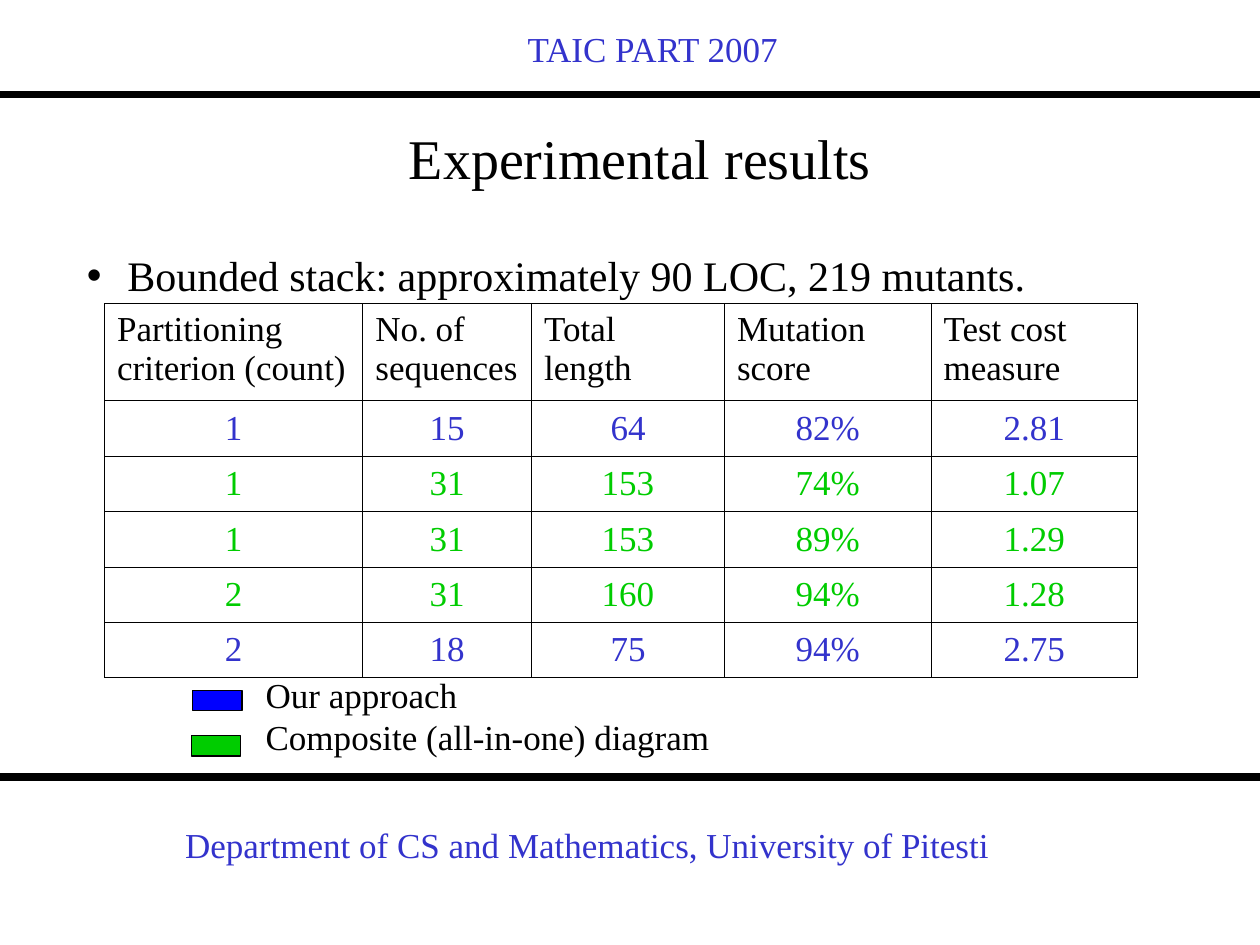
from typing import NamedTuple

from lxml import etree
from pptx import Presentation, util as u
from pptx.dml.color import RGBColor
from pptx.enum import shapes as sh, text as tx
from pptx.oxml import ns

FONT = "Times New Roman"
BLACK, BLUE, GREEN = "000000", "3333CC", "00CC00"
LEFT, MID = tx.PP_ALIGN.LEFT, tx.PP_ALIGN.CENTER
THIN, THICK = 0.45, 1.08


class Box(NamedTuple):
    left: float
    top: float
    width: float
    height: float


class Label(NamedTuple):
    box: Box
    lines: list[str]
    color: str
    align: tx.PP_ALIGN


class Row(NamedTuple):
    color: str
    cells: list[str]


class Swatch(NamedTuple):
    box: Box
    color: str


LABELS = [
    Label(Box(1.37, 6.49, 7.25, 0.77),
          ["Department of CS and Mathematics, University of Pitesti"], BLUE, LEFT),
    Label(Box(2.64, 0.17, 5.08, 0.94), ["TAIC PART 2007"], BLUE, MID),
    Label(Box(2.01, 5.3, 4.17, 0.77),
          ["Our approach", "Composite (all-in-one) diagram"], BLACK, LEFT),
]
ROWS = [
    Row(BLACK, ["Partitioning criterion (count)", "No. of sequences",
                "Total\vlength", "Mutation score", "Test cost measure"]),
    Row(BLUE, ["1", "15", "64", "82%", "2.81"]),
    Row(GREEN, ["1", "31", "153", "74%", "1.07"]),
    Row(GREEN, ["1", "31", "153", "89%", "1.29"]),
    Row(GREEN, ["2", "31", "160", "94%", "1.28"]),
    Row(BLUE, ["2", "18", "75", "94%", "2.75"]),
]
COLS = [2.05, 1.34, 1.53, 1.64, 1.64]
HEAD_H, ROW_H = 0.77, 0.44
SWATCHES = [Swatch(Box(1.53, 5.48, 0.39, 0.16), "0000FF"),
            Swatch(Box(1.52, 5.84, 0.39, 0.16), GREEN)]


def rgb(code: str) -> RGBColor:
    return RGBColor.from_string(code)


def place(box: Box) -> list[u.Length]:
    return [u.Inches(n) for n in box]


def style(para, size: float, color: str, align: tx.PP_ALIGN) -> None:
    para.alignment, para.space_before = align, u.Pt(0)
    form = {"name": FONT, "size": u.Pt(size), "bold": False}
    for key, val in form.items():
        setattr(para.font, key, val)
    para.font.color.rgb = rgb(color)


def frame(shape) -> None:
    form = {"word_wrap": True, "auto_size": tx.MSO_AUTO_SIZE.NONE,
            "vertical_anchor": tx.MSO_ANCHOR.TOP}
    for key, val in form.items():
        setattr(shape.text_frame, key, val)


def holder(shape, box: Box, words: str):
    for key, val in zip(("left", "top", "width", "height"), place(box)):
        setattr(shape, key, val)
    frame(shape)
    shape.text_frame.text = words
    return shape.text_frame.paragraphs[0]


def bullet(para, indent: float) -> None:
    props = para._p.get_or_add_pPr()
    props.set("marL", str(u.Inches(indent)))
    props.set("indent", str(-u.Inches(indent)))
    etree.SubElement(props, ns.qn("a:buChar")).set("char", "•")


def rule(slide, top: float) -> None:
    line = slide.shapes.add_connector(
        sh.MSO_CONNECTOR.STRAIGHT, 0, u.Inches(top), u.Inches(10), u.Inches(top))
    line.line.width = u.Pt(4.5)
    line.line.color.rgb = rgb(BLACK)
    etree.SubElement(line._element.spPr, ns.qn("a:effectLst"))


def label(slide, item: Label) -> None:
    shape = slide.shapes.add_textbox(*place(item.box))
    frame(shape)
    shape.text_frame.text = "\n".join(item.lines)
    for para in shape.text_frame.paragraphs:
        style(para, 20, item.color, item.align)


def border(cell, widths: dict[str, float]) -> None:
    props = cell._tc.get_or_add_tcPr()
    for spot, (side, width) in enumerate(widths.items()):
        edge = etree.Element(ns.qn(f"a:ln{side}"), w=str(u.Pt(width)))
        fill = etree.SubElement(edge, ns.qn("a:solidFill"))
        etree.SubElement(fill, ns.qn("a:srgbClr"), val=BLACK)
        props.insert(spot, edge)


def grid(slide, left: float, top: float) -> None:
    high = HEAD_H + ROW_H * (len(ROWS) - 1)
    box = Box(left, top, sum(COLS), high)
    table = slide.shapes.add_table(len(ROWS), len(COLS), *place(box)).table
    table.first_row = table.horz_banding = False
    for col, width in zip(table.columns, COLS):
        col.width = u.Inches(width)
    for i, row in enumerate(ROWS):
        table.rows[i].height = u.Inches(ROW_H if i else HEAD_H)
        for j, words in enumerate(row.cells):
            cell = table.cell(i, j)
            cell.text = words
            cell.fill.background()
            cell.vertical_anchor = tx.MSO_ANCHOR.MIDDLE if i else tx.MSO_ANCHOR.TOP
            style(cell.text_frame.paragraphs[0], 20, row.color, MID if i else LEFT)
            border(cell, {"L": THIN, "R": THIN, "T": THICK if i == 1 else THIN,
                          "B": THIN if i else THICK})


def swatch(slide, item: Swatch) -> None:
    shape = slide.shapes.add_shape(sh.MSO_SHAPE.RECTANGLE, *place(item.box))
    shape.shadow.inherit = False
    shape.fill.solid()
    shape.fill.fore_color.rgb = rgb(item.color)
    shape.line.color.rgb = rgb(BLACK)
    shape.line.width = u.Pt(0.75)


def main() -> None:
    deck = Presentation()
    deck.slide_width, deck.slide_height = u.Inches(10), u.Inches(7.5)
    slide = deck.slides.add_slide(deck.slide_layouts[1])

    # Title and bullet
    title = holder(slide.shapes.title, Box(0.59, 0.93, 8.98, 0.7),
                   "Experimental results")
    style(title, 32, BLACK, MID)
    point = holder(slide.placeholders[1], Box(0.59, 1.93, 8.98, 0.48),
                   "Bounded stack: approximately 90 LOC, 219 mutants.")
    bullet(point, 0.32)
    style(point, 24, BLACK, LEFT)

    # Header and footer rules
    for top in (0.75, 6.17):
        rule(slide, top)

    # Results with legend
    grid(slide, 0.83, 2.41)
    for item in LABELS:
        label(slide, item)
    for item in SWATCHES:
        swatch(slide, item)

    deck.save("out.pptx")


if __name__ == "__main__":
    main()
